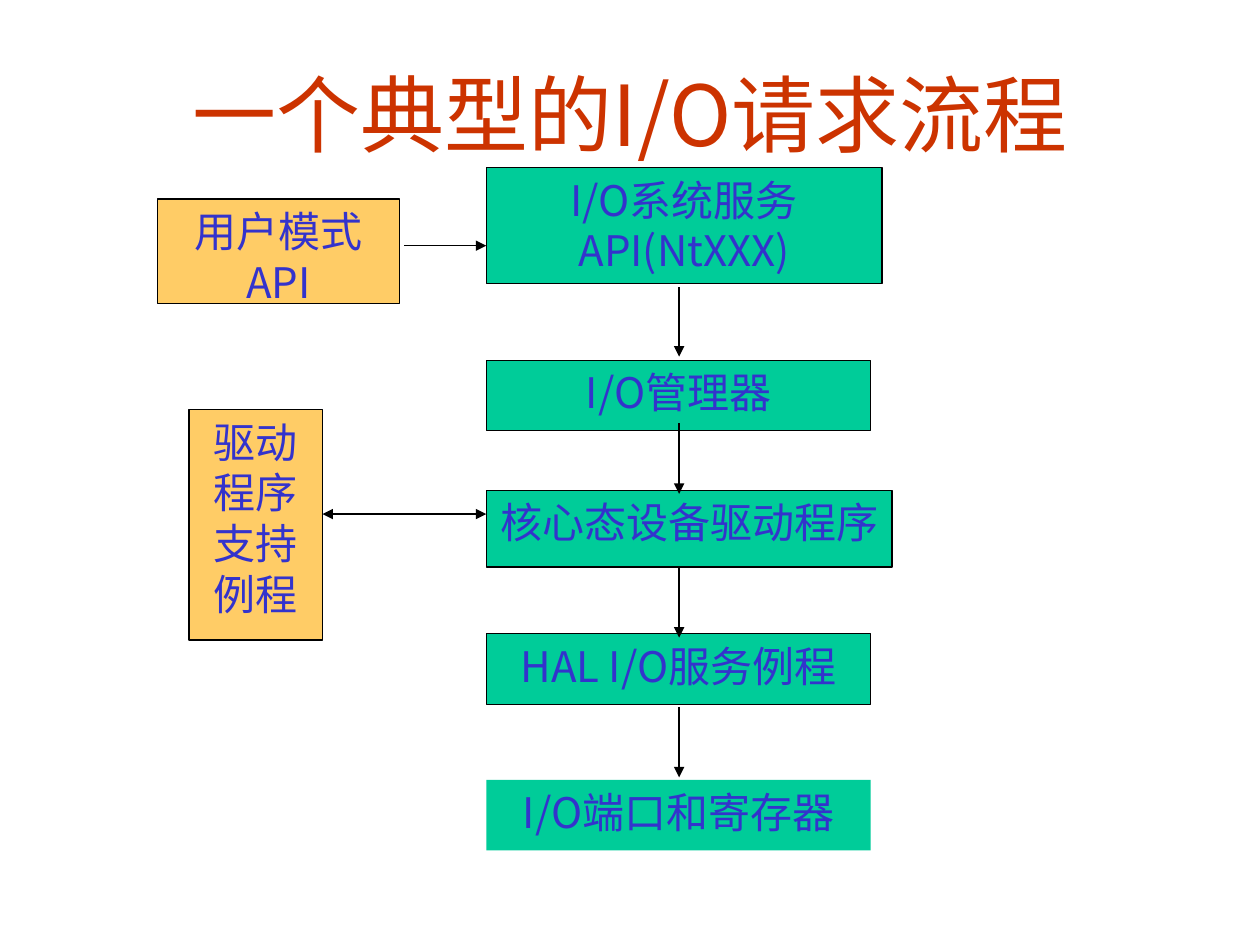
from lxml.etree import SubElement
from pptx import Presentation
from pptx.dml.color import RGBColor
from pptx.enum.shapes import MSO_CONNECTOR, MSO_SHAPE
from pptx.enum.text import MSO_ANCHOR, PP_ALIGN
from pptx.oxml.ns import qn
from pptx.util import Inches, Pt

RED = RGBColor(0xCC, 0x33, 0x00)
BLUE = RGBColor(0x33, 0x33, 0xCC)
GREEN = RGBColor(0x00, 0xCC, 0x99)
ORANGE = RGBColor(0xFF, 0xCC, 0x66)
BLACK = RGBColor(0x00, 0x00, 0x00)
FONT = "Noto Sans CJK JP"


def write(paragraph, text, size, color):
    paragraph.alignment = PP_ALIGN.CENTER
    paragraph.line_spacing = Pt(round(size * 1.21))
    run = paragraph.add_run()
    run.text = text
    run.font.size = Pt(size)
    run.font.name = FONT
    run.font.color.rgb = color
    SubElement(run.font._element, qn("a:ea"), typeface=FONT)


prs = Presentation()
prs.slide_width = Inches(10)
prs.slide_height = Inches(7.5)
slide = prs.slides.add_slide(prs.slide_layouts[6])

title = slide.shapes.add_textbox(Inches(0.75), Inches(0.67), Inches(8.5), Inches(1.25)).text_frame
title.word_wrap = True
title.vertical_anchor = MSO_ANCHOR.MIDDLE
write(title.paragraphs[0], "一个典型的I/O请求流程", 48, RED)
title.paragraphs[0].add_line_break()

stages = [
    ("I/O系统服务API(NtXXX)", 3.86, 1.33, 3.14, 0.92, GREEN, True),
    ("I/O管理器", 3.86, 2.86, 3.05, 0.56, GREEN, True),
    ("核心态设备驱动程序", 3.86, 3.89, 3.22, 0.61, GREEN, True),
    ("HAL I/O服务例程", 3.86, 5.03, 3.05, 0.56, GREEN, True),
    ("I/O端口和寄存器", 3.86, 6.19, 3.05, 0.56, GREEN, False),
    ("驱动程序支持例程", 1.5, 3.25, 1.06, 1.83, ORANGE, True),
    ("用户模式API", 1.25, 1.58, 1.92, 0.83, ORANGE, True),
]
for label, left, top, width, height, color, outlined in stages:
    stage = slide.shapes.add_shape(
        MSO_SHAPE.RECTANGLE, Inches(left), Inches(top), Inches(width), Inches(height))
    stage.shadow.inherit = False
    stage.fill.solid()
    stage.fill.fore_color.rgb = color
    if outlined:
        stage.line.color.rgb = BLACK
        stage.line.width = Pt(0.75)
    else:
        stage.line.fill.background()
    stage.text_frame.word_wrap = True
    stage.text_frame.vertical_anchor = MSO_ANCHOR.TOP
    write(stage.text_frame.paragraphs[0], label, 24, BLUE)

flows = [
    (5.39, 2.28, 5.39, 2.83, ["tailEnd"]),
    (5.39, 3.36, 5.39, 3.92, ["tailEnd"]),
    (5.39, 4.5, 5.39, 5.06, ["tailEnd"]),
    (5.39, 5.61, 5.39, 6.17, ["tailEnd"]),
    (2.56, 4.08, 3.86, 4.08, ["headEnd", "tailEnd"]),
    (3.21, 1.95, 3.86, 1.95, ["tailEnd"]),
]
for x1, y1, x2, y2, arrowheads in flows:
    flow = slide.shapes.add_connector(
        MSO_CONNECTOR.STRAIGHT, Inches(x1), Inches(y1), Inches(x2), Inches(y2))
    flow.line.color.rgb = BLACK
    flow.line.width = Pt(0.75)
    for end in arrowheads:
        SubElement(flow.line._get_or_add_ln(), qn(f"a:{end}"), type="triangle")
    SubElement(flow._element.spPr, qn("a:effectLst"))

prs.save("out.pptx")
